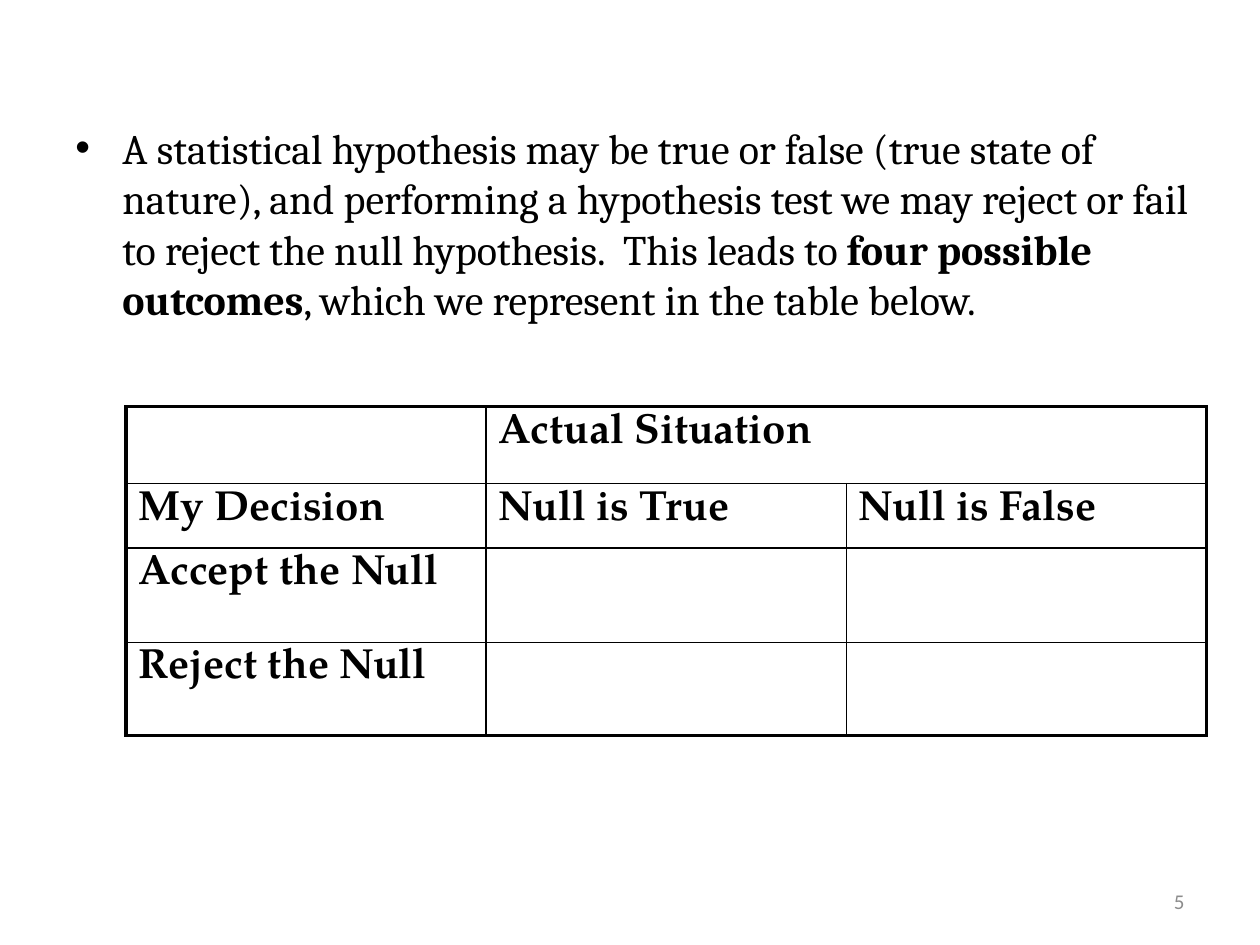
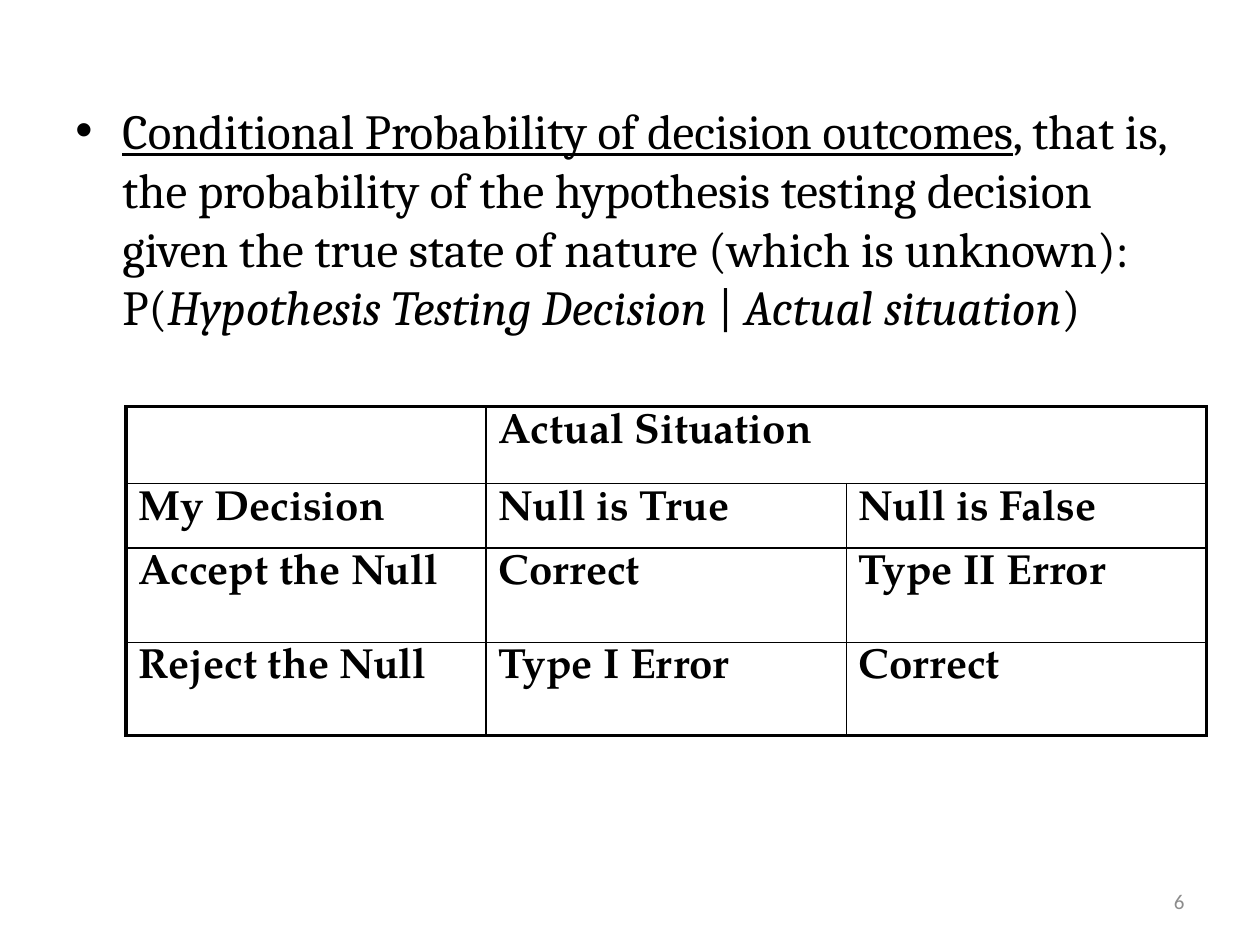
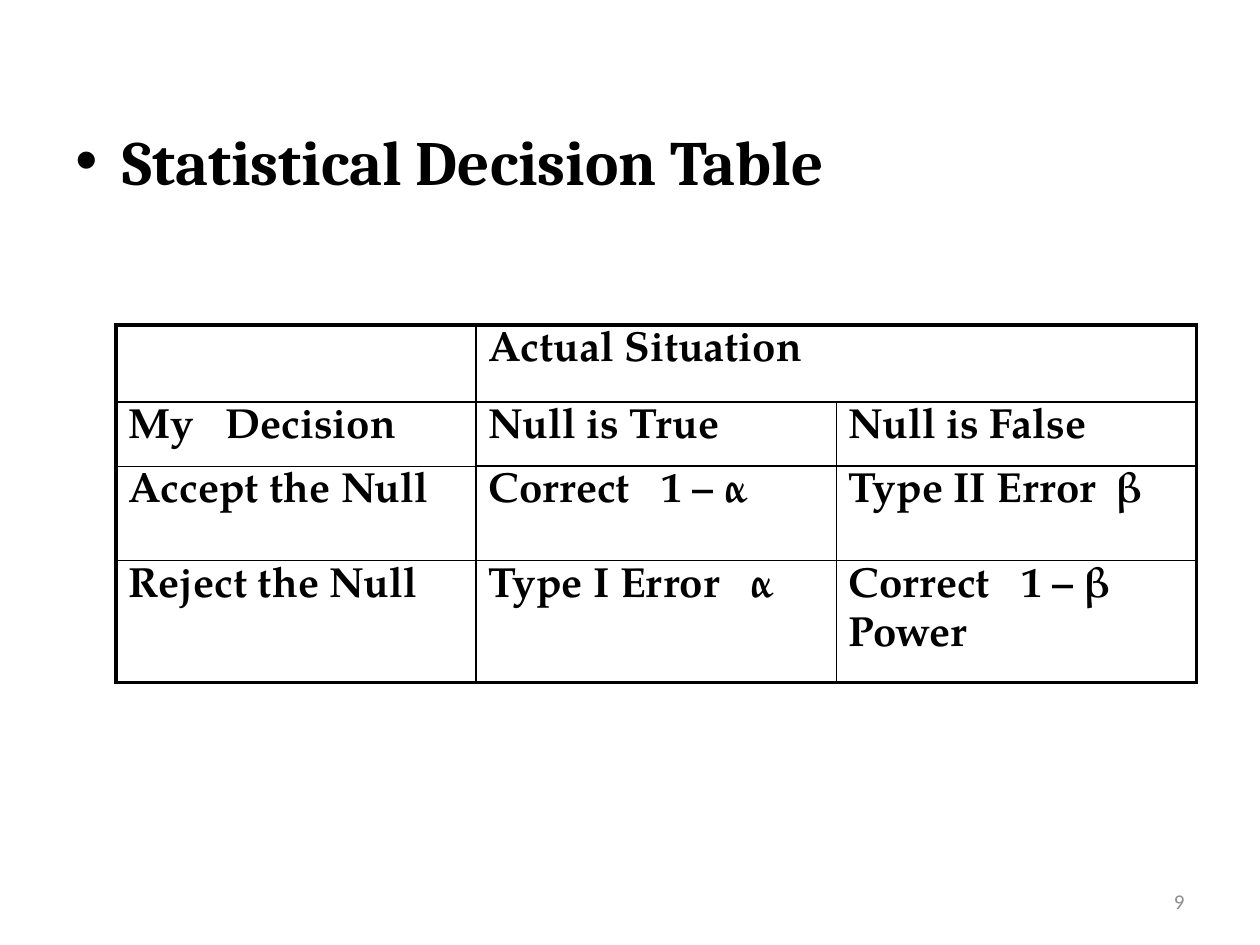
from lxml import etree
from pptx import Presentation
from pptx.dml.color import RGBColor
from pptx.enum.text import MSO_ANCHOR, PP_ALIGN
from pptx.oxml.ns import qn
from pptx.util import Cm, Pt

RIGHT, MIDDLE = PP_ALIGN.RIGHT, MSO_ANCHOR.MIDDLE
BLACK = RGBColor(0x00, 0x00, 0x00)
GRAY = RGBColor(0x8C, 0x8C, 0x8C)
BODY_FONT, TABLE_FONT, NUMBER_FONT = "Cambria", "TeX Gyre Pagella", "Calibri"

# Content: statement runs are (text, style); None in a table row joins the cell to its left
HEADER = ["", "Actual Situation", None]
STATES = ["Null is True", "Null is False"]
SLIDES = [
    {
        "number": "5", "size": 24, "body_top": 2.34, "table_at": (2.54, 8.2),
        "statement": [
            ("A statistical hypothesis may be true or false (true state of nature), "
             "and performing a hypothesis test we may reject or fail to reject the "
             "null hypothesis.  This leads to ", ""),
            ("four possible outcomes", "bold"),
            (", which we represent in the table below.", ""),
        ],
        "table": [
            HEADER,
            ["My Decision", *STATES],
            ["Accept the Null", "", ""],
            ["Reject the Null", "", ""],
        ],
    },
    {
        "number": "6", "size": 28, "body_top": 1.9, "table_at": (2.54, 8.2),
        "statement": [
            ("Conditional Probability of decision outcomes", "underline"),
            (", that is, the probability of the hypothesis testing decision given "
             "the true state of nature (which is unknown):  P(", ""),
            ("Hypothesis Testing Decision", "italic"),
            (" | ", ""),
            ("Actual situation", "italic"),
            (")", ""),
        ],
        "table": [
            HEADER,
            ["My Decision", *STATES],
            ["Accept the Null", "Correct", "Type II Error"],
            ["Reject the Null", "Type I Error", "Correct"],
        ],
    },
    {
        "number": "9", "size": 36, "body_top": 2.34, "table_at": (2.34, 6.55),
        "statement": [("Statistical Decision Table", "bold")],
        "table": [
            HEADER,
            ["My   Decision", *STATES],
            ["Accept the Null", "Correct   1 – α", "Type II Error  β"],
            ["Reject the Null", "Type I Error   α", "Correct   1 – β\nPower"],
        ],
    },
]

# Shared layout, in centimetres
COLUMN_WIDTH = 7.26
ROW_HEIGHTS = [1.55, 1.3, 1.9, 1.88]
HANGING = Cm(0.95)
OUTER, INNER, RESULT = 2.25, 1, 1.5  # border widths in points


def format_run(run, font, size, color):
    run.font.name, run.font.size = font, Pt(size)
    run.font.color.rgb = color


def space_before(paragraph):
    """Space of 20 % of the text size above a paragraph."""
    spacing = etree.SubElement(paragraph._p.get_or_add_pPr(), qn("a:spcBef"))
    etree.SubElement(spacing, qn("a:spcPct")).set("val", "20000")


def add_bullet(paragraph):
    properties = paragraph._p.get_or_add_pPr()
    properties.set("marL", str(HANGING))
    properties.set("indent", str(-HANGING))
    etree.SubElement(properties, qn("a:buFont")).set("typeface", "Arial")
    etree.SubElement(properties, qn("a:buChar")).set("char", "•")


def add_text_frame(slide, left, top, width, height):
    frame = slide.shapes.add_textbox(Cm(left), Cm(top), Cm(width), Cm(height)).text_frame
    frame.word_wrap = True
    return frame


def add_statement(slide, runs, top, size):
    paragraph = add_text_frame(slide, 1.27, top, 23.06, 13.21).paragraphs[0]
    space_before(paragraph)
    add_bullet(paragraph)
    for text, style in runs:
        run = paragraph.add_run()
        run.text = text
        format_run(run, BODY_FONT, size, BLACK)
        if style:
            setattr(run.font, style, True)


def vertical_weight(line, row):
    if line in (0, 3):
        return OUTER
    return RESULT if line == 1 and row >= 2 else INNER


def horizontal_weight(line, column):
    if line in (0, len(ROW_HEIGHTS)):
        return OUTER
    return RESULT if line == 2 and column >= 1 else INNER


def set_borders(cell, row, column):
    last_line = column + (cell.span_width if cell.is_merge_origin else 1)
    weights = {
        "a:lnL": vertical_weight(column, row),
        "a:lnR": vertical_weight(last_line, row),
        "a:lnT": horizontal_weight(row, column),
        "a:lnB": horizontal_weight(row + 1, column),
    }
    properties = cell._tc.get_or_add_tcPr()
    for tag, weight in weights.items():
        line = etree.SubElement(properties, qn(tag))
        line.set("w", str(Pt(weight)))
        fill = etree.SubElement(line, qn("a:solidFill"))
        etree.SubElement(fill, qn("a:srgbClr")).set("val", str(BLACK))


def add_decision_table(slide, rows, left, top):
    columns = len(rows[0])
    table = slide.shapes.add_table(
        len(rows), columns, Cm(left), Cm(top),
        Cm(COLUMN_WIDTH * columns), Cm(sum(ROW_HEIGHTS))).table
    table.first_row = table.horz_banding = False
    for column in table.columns:
        column.width = Cm(COLUMN_WIDTH)
    for row, height in zip(table.rows, ROW_HEIGHTS):
        row.height = Cm(height)
    table.cell(0, 1).merge(table.cell(0, 2))
    for r, texts in enumerate(rows):
        for c, text in enumerate(texts):
            if text is None:
                continue
            cell = table.cell(r, c)
            set_borders(cell, r, c)
            cell.fill.background()
            cell.text_frame.text = text
            for paragraph in cell.text_frame.paragraphs:
                space_before(paragraph)
                for run in paragraph.runs:
                    format_run(run, TABLE_FONT, 24, BLACK)
                    run.font.bold = True


def add_slide_number(slide, number):
    frame = add_text_frame(slide, 18.21, 17.65, 5.92, 1.02)
    frame.vertical_anchor = MIDDLE
    frame.text = number
    paragraph = frame.paragraphs[0]
    paragraph.alignment = RIGHT
    format_run(paragraph.runs[0], NUMBER_FONT, 12, GRAY)


# Build the deck
deck = Presentation()
deck.slide_width, deck.slide_height = Cm(25.4), Cm(19.05)
for content in SLIDES:
    slide = deck.slides.add_slide(deck.slide_layouts[6])
    add_statement(slide, content["statement"], content["body_top"], content["size"])
    add_decision_table(slide, content["table"], *content["table_at"])
    add_slide_number(slide, content["number"])
deck.save("out.pptx")
